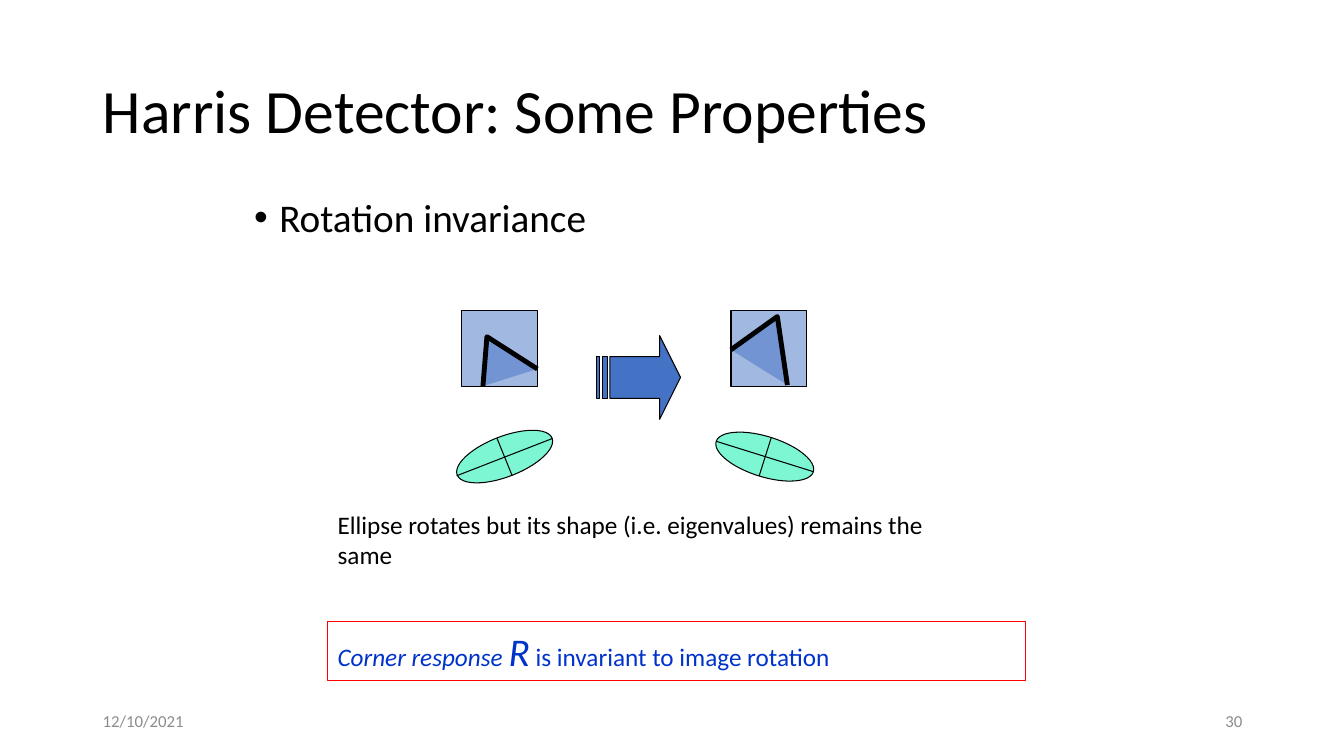
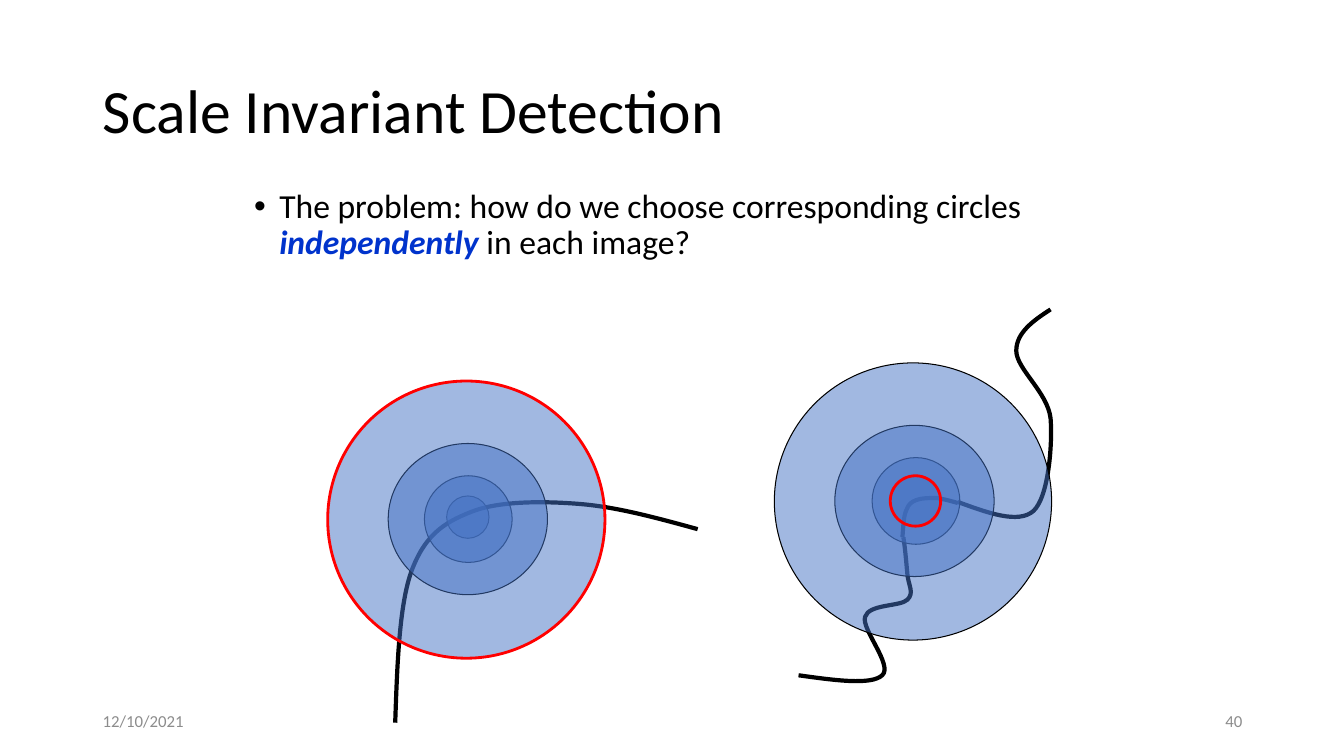
"""Build two slides on rotation and scale invariant detection."""
from dataclasses import dataclass

from lxml import etree
from pptx import Presentation
from pptx.dml.color import RGBColor
from pptx.enum.shapes import MSO_CONNECTOR, MSO_SHAPE
from pptx.enum.text import MSO_ANCHOR, MSO_AUTO_SIZE, PP_ALIGN
from pptx.oxml.ns import qn
from pptx.util import Inches, Pt

RECTANGLE = MSO_SHAPE.RECTANGLE
OVAL = MSO_SHAPE.OVAL
STRIPED_ARROW = MSO_SHAPE.STRIPED_RIGHT_ARROW
STRAIGHT = MSO_CONNECTOR.STRAIGHT
TOP, MIDDLE = MSO_ANCHOR.TOP, MSO_ANCHOR.MIDDLE
LEFT, RIGHT = PP_ALIGN.LEFT, PP_ALIGN.RIGHT
NO_AUTOFIT = MSO_AUTO_SIZE.NONE


@dataclass(frozen=True)
class Theme:
    """Colours, type sizes and line widths of the slides."""
    font: str = "Calibri"
    ink: str = "000000"
    blue: str = "4472C4"
    accent: str = "0033CC"
    mint: str = "7CF6D3"
    red: str = "FF0000"
    grey: str = "8C8C8C"
    title: int = 44
    large: int = 28
    medium: int = 24
    text: int = 18
    footer: int = 12
    thin: float = 0.75
    ring: float = 2
    curve: float = 3
    edge: float = 3.5


THEME = Theme()


class Deck:
    """Hold the presentation, its style and the current slide."""

    def __init__(self, theme):
        """Start a widescreen presentation."""
        self.theme = theme
        self.presentation = Presentation()
        self.presentation.slide_width = Inches(13.33)
        self.presentation.slide_height = Inches(7.5)
        self.slide = None

    def add_slide(self, title, number):
        """Add a slide with its title, date and number."""
        layout = self.presentation.slide_layouts[1]
        self.slide = self.presentation.slides.add_slide(layout)
        heading = self.slide.shapes.title
        self.place(heading, (0.92, 0.4, 11.5, 1.45))
        self.fill_text(heading, [(title, {})], self.theme.title,
                       anchor=MIDDLE, line_spacing=0.9)
        for left, label, alignment in ((0.92, "12/10/2021", LEFT), (9.42, number, RIGHT)):
            self.text((left, 6.95, 3, 0.4), [(label, {})], self.theme.footer,
                      self.theme.grey, anchor=MIDDLE, alignment=alignment)

    def place(self, shape, box):
        """Move and size a shape."""
        for name, value in zip(("left", "top", "width", "height"), box):
            setattr(shape, name, Inches(value))

    def fill_text(self, shape, runs, size, color=THEME.ink, anchor=TOP, **paragraph_format):
        """Put one paragraph of formatted runs into a shape."""
        frame = shape.text_frame
        frame_format = {"word_wrap": True, "auto_size": NO_AUTOFIT, "vertical_anchor": anchor}
        for name, value in frame_format.items():
            setattr(frame, name, value)
        paragraph = frame.paragraphs[0]
        for name, value in {"alignment": LEFT, **paragraph_format}.items():
            setattr(paragraph, name, value)
        for content, changes in runs:
            run = paragraph.add_run()
            run.text = content
            values = {"name": self.theme.font, "size": Pt(size), **changes}
            run.font.color.rgb = RGBColor.from_string(values.pop("color", color))
            for name, value in values.items():
                setattr(run.font, name, value)
        return paragraph

    def bullet(self, box, runs, size):
        """Fill the body placeholder with one bulleted paragraph."""
        body = self.slide.placeholders[1]
        self.place(body, box)
        paragraph = self.fill_text(body, runs, size, line_spacing=0.9, space_before=Pt(10))
        properties = paragraph._p.get_or_add_pPr()
        properties.set("marL", str(Inches(0.25)))
        properties.set("indent", str(-Inches(0.25)))

    def text(self, box, runs, size, color=THEME.ink, border=None, **options):
        """Add a text box, with a border if a colour is given."""
        shape = self.slide.shapes.add_textbox(*map(Inches, box))
        self.fill_text(shape, runs, size, color, **options)
        if border:
            self.outline(shape, border, self.theme.thin)

    def outline(self, shape, color, width):
        """Set the line of a shape."""
        shape.line.color.rgb = RGBColor.from_string(color)
        shape.line.width = Pt(width)

    def paint(self, shape, fill, line, width, alpha):
        """Set fill, opacity in percent and line of a shape."""
        shape.shadow.inherit = False
        self.outline(shape, line, width)
        if fill is None:
            shape.fill.background()
            return
        shape.fill.solid()
        shape.fill.fore_color.rgb = RGBColor.from_string(fill)
        if alpha < 100:
            color = shape._element.spPr.find(qn("a:solidFill"))[0]
            etree.SubElement(color, qn("a:alpha")).set("val", str(alpha * 1000))

    def shape(self, kind, box, fill=THEME.blue, line=THEME.ink, width=THEME.thin,
              alpha=50, rotation=0):
        """Add a preset shape."""
        shape = self.slide.shapes.add_shape(kind, *map(Inches, box))
        shape.rotation = rotation
        self.paint(shape, fill, line, width, alpha)
        return shape

    def open_outline(self, points, fill, width):
        """Add an open freeform through the points."""
        start, *others = [(Inches(x), Inches(y)) for x, y in points]
        builder = self.slide.shapes.build_freeform(*start, scale=1.0)
        builder.add_line_segments(others, close=False)
        shape = builder.convert_to_shape()
        self.paint(shape, fill, self.theme.ink, width, 50)
        return shape

    def curve(self, points):
        """Add a Bezier curve: a start, then three points per segment."""
        shape = self.open_outline(points, None, self.theme.curve)
        segments = shape._element.findall(".//" + qn("a:lnTo"))
        for first, second, third in zip(*[iter(segments)] * 3):
            first.tag = qn("a:cubicBezTo")
            for segment in (second, third):
                first.append(segment[0])
                segment.getparent().remove(segment)

    def line(self, start, end):
        """Add a thin straight line."""
        connector = self.slide.shapes.add_connector(STRAIGHT, *map(Inches, start + end))
        self.outline(connector, self.theme.ink, self.theme.thin)
        etree.SubElement(connector._element.spPr, qn("a:effectLst"))

    def corner_patch(self, left, corner):
        """Add an image window with a corner in it."""
        self.shape(RECTANGLE, (left, 3.08, 0.75, 0.75))
        self.open_outline(corner, self.theme.blue, self.theme.edge)

    def axis_ellipse(self, left, rotation, axes):
        """Add a rotated ellipse with its two axes."""
        self.shape(OVAL, (left, 4.33, 1.01, 0.4), self.theme.mint,
                   alpha=100, rotation=rotation)
        for start, end in axes:
            self.line(start, end)

    def circles(self, boxes, marked):
        """Add circles from back to front, the marked one with a red ring."""
        for index, box in enumerate(boxes):
            chosen = index == marked
            self.shape(OVAL, box, line=self.theme.red if chosen else self.theme.ink,
                       width=self.theme.ring if chosen else self.theme.thin)


def build_rotation(deck):
    """Build the slide on rotation invariance."""
    deck.add_slide("Harris Detector: Some Properties", "30")
    deck.bullet((2.42, 1.92, 8.5, 0.62), [("Rotation invariance", {})], THEME.large)
    deck.corner_patch(4.58, [(4.79, 3.83), (4.83, 3.34), (5.33, 3.66)])
    deck.corner_patch(7.25, [(7.25, 3.47), (7.71, 3.14), (7.81, 3.82)])
    arrow = deck.shape(STRIPED_ARROW, (5.92, 3.33, 0.83, 0.83), alpha=100)
    arrow.adjustments[0] = 0.5
    arrow.adjustments[1] = 0.25
    deck.text((3.25, 5, 6.25, 0.71),
              [("Ellipse rotates but its shape (i.e. eigenvalues) remains the same", {})],
              THEME.text)
    deck.axis_ellipse(4.5, 338.8, [((4.53, 4.72), (5.48, 4.35)),
                                   ((4.93, 4.35), (5.08, 4.72))])
    deck.axis_ellipse(7.08, 17.3, [((7.11, 4.38), (8.07, 4.68)),
                                   ((7.65, 4.34), (7.53, 4.72))])
    deck.text((3.25, 6.17, 6.92, 0.58),
              [("Corner response ", {"italic": True}),
               ("R", {"italic": True, "size": Pt(THEME.large)}),
               (" is invariant to image rotation", {})],
              THEME.text, THEME.accent, THEME.red)


def build_scale(deck):
    """Build the slide on scale invariant detection."""
    deck.add_slide("Scale Invariant Detection", "40")
    deck.bullet((2.42, 1.83, 8.5, 4.5),
                [("The problem: how do we choose corresponding circles ", {}),
                 ("independently", {"color": THEME.accent, "bold": True, "italic": True}),
                 (" in each image?", {})], THEME.medium)
    upper_curve = [(9.5, 4.98), (9.8, 5.09), (10.1, 5.2), (10.25, 5.07),
                   (10.4, 4.93), (10.44, 4.41), (10.42, 4.15),
                   (10.39, 3.89), (10.08, 3.66), (10.08, 3.48),
                   (10.08, 3.3), (10.25, 3.18), (10.42, 3.07)]
    lower_curve = [(7.92, 6.7), (8.28, 6.75), (8.64, 6.8), (8.75, 6.7),
                   (8.86, 6.6), (8.54, 6.24), (8.58, 6.12),
                   (8.62, 5.99), (8.93, 6.02), (9, 5.95),
                   (9.07, 5.88), (9.01, 5.81), (9, 5.7),
                   (8.99, 5.6), (8.98, 5.46), (8.96, 5.33)]
    corner_curve = [(8.95, 5.33), (8.96, 5.23), (8.96, 5.12), (8.99, 5.06),
                    (9.01, 5), (9.04, 4.98), (9.09, 4.96),
                    (9.14, 4.94), (9.22, 4.94), (9.29, 4.94),
                    (9.36, 4.95), (9.43, 4.97), (9.5, 4.99)]
    large_curve = [(3.92, 7.17), (3.94, 6.59), (3.96, 6.01), (4.08, 5.67),
                   (4.21, 5.32), (4.39, 5.19), (4.67, 5.08),
                   (4.94, 4.97), (5.38, 4.97), (5.75, 5),
                   (6.12, 5.03), (6.52, 5.14), (6.92, 5.25)]
    for points in (upper_curve, lower_curve, large_curve, corner_curve):
        deck.curve(points)
    deck.circles([(4.43, 4.92, 0.42, 0.42), (4.21, 4.72, 0.87, 0.86),
                  (3.85, 4.4, 1.58, 1.5), (3.25, 3.78, 2.75, 2.75)], marked=3)
    deck.circles([(8.65, 4.54, 0.87, 0.86), (8.28, 4.22, 1.58, 1.5),
                  (7.68, 3.6, 2.75, 2.75), (8.83, 4.72, 0.5, 0.5)], marked=3)


deck = Deck(THEME)
build_rotation(deck)
build_scale(deck)
deck.presentation.save("out.pptx")
